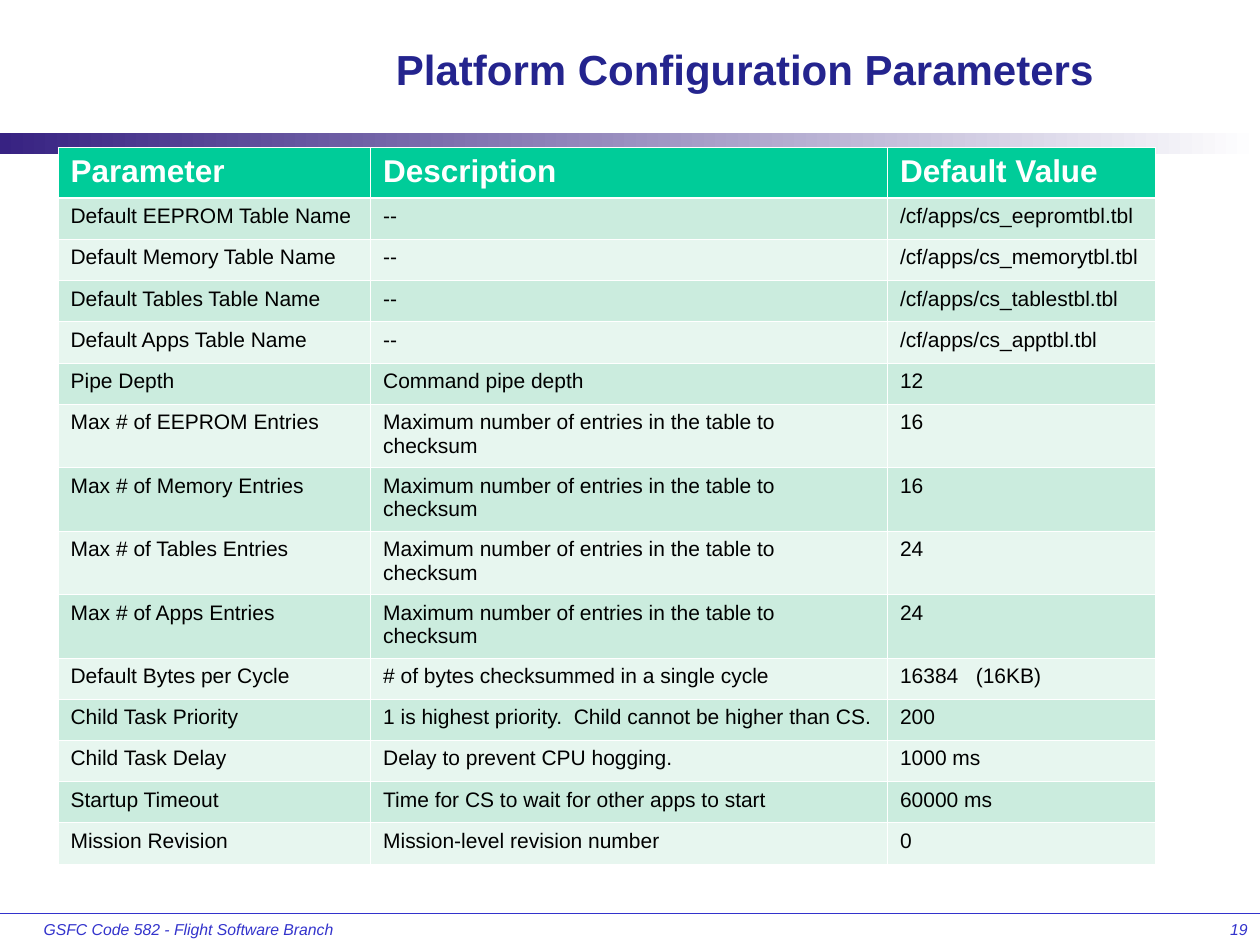
from lxml.etree import SubElement
from pptx import Presentation
from pptx.dml.color import RGBColor
from pptx.enum.shapes import MSO_CONNECTOR, MSO_SHAPE
from pptx.enum.text import MSO_ANCHOR as Anchor, PP_ALIGN as Align
from pptx.oxml.ns import qn
from pptx.util import Cm, Pt

WHITE = RGBColor(0xFF, 0xFF, 0xFF)
BLACK = RGBColor(0x00, 0x00, 0x00)
NAVY = RGBColor(0x24, 0x24, 0x8E)
BLUE = RGBColor(0x33, 0x33, 0xCC)
PURPLE = RGBColor(0x37, 0x22, 0x82)
GREEN = RGBColor(0x00, 0xCC, 0x99)
DARK_BAND = RGBColor(0xCB, 0xEC, 0xDE)
LIGHT_BAND = RGBColor(0xE7, 0xF6, 0xEF)

TITLE = {"size": Pt(24), "bold": True, "color": NAVY}
FOOTER = {"size": Pt(9), "italic": True, "color": BLUE}
HEADER = {"size": Pt(18), "bold": True, "color": WHITE}
BODY = {"size": Pt(12), "bold": False, "color": BLACK}

SLIDE_WIDTH, SLIDE_HEIGHT = 25.4, 19.05
FOOTER_TOP = 18.42
COLUMN_WIDTHS = (6.3, 10.42, 5.4)
HEADER_HEIGHT, ROW_HEIGHT, TALL_ROW_HEIGHT = 1.0, 0.83, 1.28
THIN, THICK = Pt(0.45), Pt(1.47)

ENTRIES = "Maximum number of entries in the table to checksum"
PARAMETERS = [
    ("Parameter", "Description", "Default Value"),
    ("Default EEPROM Table Name", "--", "/cf/apps/cs_eepromtbl.tbl"),
    ("Default Memory Table Name", "--", "/cf/apps/cs_memorytbl.tbl"),
    ("Default Tables Table Name", "--", "/cf/apps/cs_tablestbl.tbl"),
    ("Default Apps Table Name", "--", "/cf/apps/cs_apptbl.tbl"),
    ("Pipe Depth", "Command pipe depth", "12"),
    ("Max # of EEPROM Entries", ENTRIES, "16"),
    ("Max # of Memory Entries", ENTRIES, "16"),
    ("Max # of Tables Entries", ENTRIES, "24"),
    ("Max # of Apps Entries", ENTRIES, "24"),
    ("Default Bytes per Cycle", "# of bytes checksummed in a single cycle", "16384   (16KB)"),
    ("Child Task Priority", "1 is highest priority.  Child cannot be higher than CS.", "200"),
    ("Child Task Delay", "Delay to prevent CPU hogging.", "1000 ms"),
    ("Startup Timeout", "Time for CS to wait for other apps to start", "60000 ms"),
    ("Mission Revision", "Mission-level revision number", "0"),
]


class SlideBuilder:
    def __init__(self, slide, font_name):
        self.slide = slide
        self.font_name = font_name

    def fill_text(self, text_frame, text, style, align=Align.LEFT):
        paragraph = text_frame.paragraphs[0]
        paragraph.alignment = align
        run = paragraph.add_run()
        run.text = text
        run.font.name = self.font_name
        for name, value in style.items():
            if name == "color":
                run.font.color.rgb = value
            else:
                setattr(run.font, name, value)

    def text(self, box, text, style, align=Align.LEFT, anchor=Anchor.TOP):
        frame = self.slide.shapes.add_textbox(*map(Cm, box)).text_frame
        frame.word_wrap = True
        frame.vertical_anchor = anchor
        self.fill_text(frame, text, style, align)

    def gradient_bar(self, box, start, end):
        shape = self.slide.shapes.add_shape(MSO_SHAPE.RECTANGLE, *map(Cm, box))
        shape.shadow.inherit = False
        shape.line.fill.background()
        shape.fill.gradient()
        shape.fill.gradient_angle = 0
        for stop, color in zip(shape.fill.gradient_stops, (start, end)):
            stop.color.rgb = color

    def line(self, ends, color, width):
        connector = self.slide.shapes.add_connector(MSO_CONNECTOR.STRAIGHT, *map(Cm, ends))
        connector.line.color.rgb = color
        connector.line.width = width
        SubElement(connector._element.spPr, qn("a:effectLst"))

    def borders(self, cell, color, widths):
        """Draw cell borders; widths run left, right, top, bottom."""
        properties = cell._tc.get_or_add_tcPr()
        for side, width in zip("LRTB", widths):
            border = SubElement(properties, qn(f"a:ln{side}"), w=str(int(width)))
            fill = SubElement(border, qn("a:solidFill"))
            SubElement(fill, qn("a:srgbClr"), val=str(color))

    def table(self, left, top, rows):
        heights = [HEADER_HEIGHT] + [
            TALL_ROW_HEIGHT if row[1] == ENTRIES else ROW_HEIGHT for row in rows[1:]
        ]
        box = (left, top, sum(COLUMN_WIDTHS), sum(heights))
        table = self.slide.shapes.add_table(len(rows), len(COLUMN_WIDTHS), *map(Cm, box)).table
        for column, width in zip(table.columns, COLUMN_WIDTHS):
            column.width = Cm(width)
        for index, (row, height) in enumerate(zip(rows, heights)):
            table.rows[index].height = Cm(height)
            band = DARK_BAND if index % 2 else LIGHT_BAND
            for cell, text in zip(table.rows[index].cells, row):
                self.fill_text(cell.text_frame, text, BODY if index else HEADER)
                above = THICK if index == 1 else THIN
                below = THIN if index else THICK
                self.borders(cell, WHITE, (THIN, THIN, above, below))
                cell.fill.solid()
                cell.fill.fore_color.rgb = band if index else GREEN


def main():
    presentation = Presentation()
    presentation.slide_width = Cm(SLIDE_WIDTH)
    presentation.slide_height = Cm(SLIDE_HEIGHT)
    slide = presentation.slides.add_slide(presentation.slide_layouts[6])
    builder = SlideBuilder(slide, "Arial")

    builder.line((0, FOOTER_TOP, SLIDE_WIDTH, FOOTER_TOP), BLUE, Pt(0.75))
    builder.gradient_bar((0, 2.69, SLIDE_WIDTH, 0.42), PURPLE, WHITE)
    builder.text((0.63, FOOTER_TOP, 6.6, 0.63), "GSFC Code 582 - Flight Software Branch", FOOTER)
    builder.text((20.12, FOOTER_TOP, 5.28, 0.63), "19", FOOTER, Align.RIGHT)
    builder.text((5.28, 0.43, 19.47, 1.93), "Platform Configuration Parameters",
                 TITLE, Align.CENTER, Anchor.MIDDLE)
    builder.table(1.17, 2.98, PARAMETERS)

    presentation.save("out.pptx")


if __name__ == "__main__":
    main()
